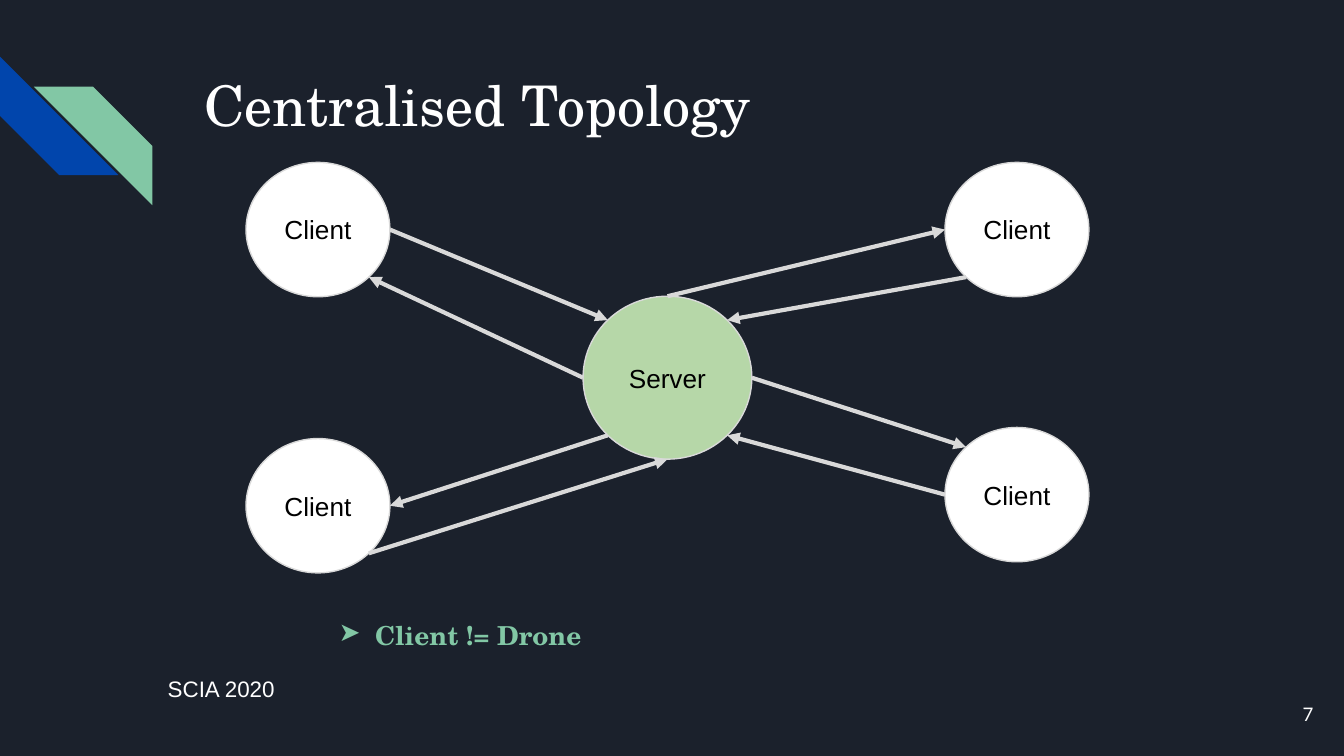
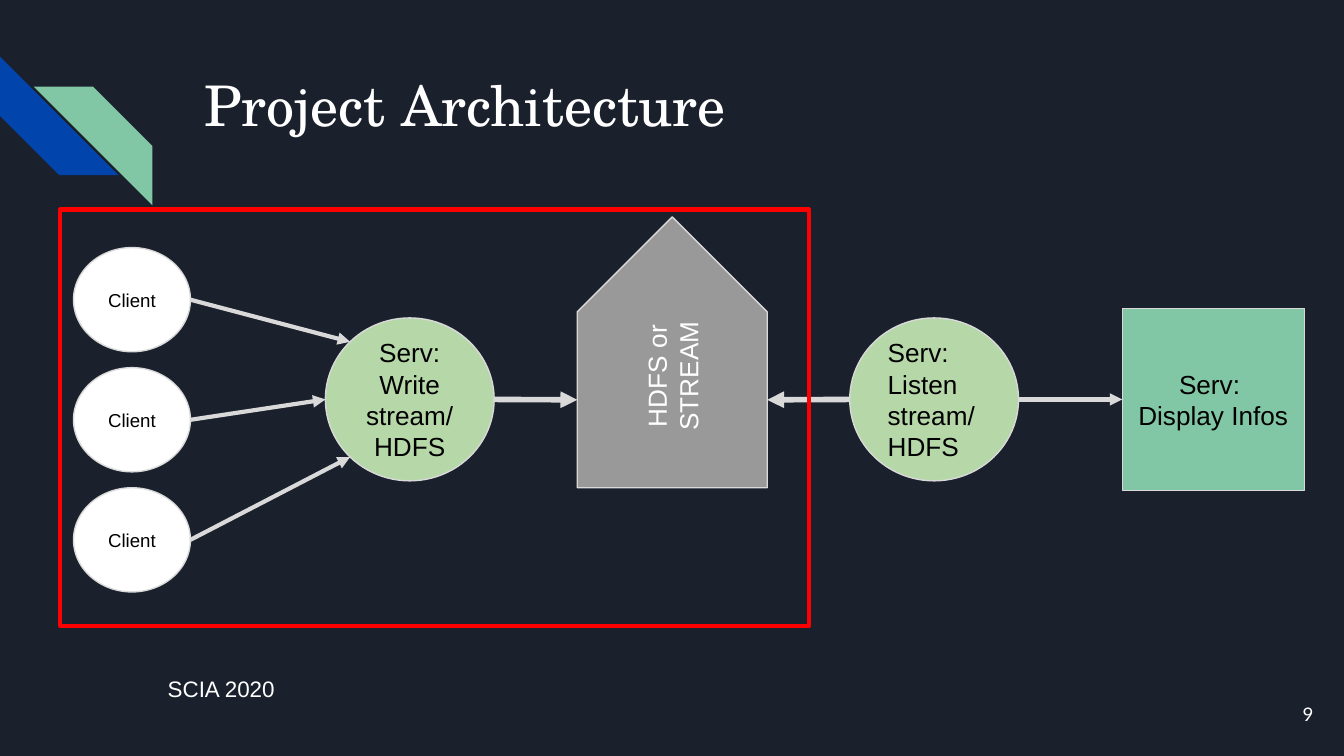
from lxml import etree
from pptx import Presentation
from pptx.dml.color import RGBColor
from pptx.enum import shapes, text
from pptx.oxml.ns import qn
from pptx.util import Cm, Pt

GEOM = shapes.MSO_SHAPE
MID, TOP = text.MSO_ANCHOR.MIDDLE, text.MSO_ANCHOR.TOP
LEFT, MIDDLE, RIGHT = text.PP_ALIGN.LEFT, text.PP_ALIGN.CENTER, text.PP_ALIGN.RIGHT
NIGHT, BLUE, MINT, LEAF = "1B212C", "0145AC", "82C7A5", "B6D7A8"
WHITE, BLACK, PALE, GREY, RED = "FFFFFF", "000000", "D9D9D9", "999999", "FF0000"
SANS, SERIF, SMALL = "Arial", "TeX Gyre Schola", "Lato"
FOOTER = "SCIA 2020"

# Boxes are (left, top, width, height) in cm.
BIG = (2.72, 2.54)
HUB = (3.19, 3.08)
MINI = (2.21, 1.97)

# name: (geometry, box, fill, lines, font size, alignment)
TOPOLOGY = {
    "server": (GEOM.OVAL, (11.02, 5.6, *HUB), LEAF, ["Server"], 14, MIDDLE),
}
for name, x, y in (("nw", 4.65, 3.07), ("ne", 17.86, 3.07),
                   ("sw", 4.65, 8.29), ("se", 17.86, 8.08)):
    TOPOLOGY[name] = (GEOM.OVAL, (x, y, *BIG), WHITE, ["Client"], 14, MIDDLE)

PROJECT = {
    "write": (GEOM.OVAL, (6.15, 6.01, *HUB), LEAF,
              ["Serv:", "Write", "stream/HDFS"], 14, MIDDLE),
    "store": (GEOM.PENTAGON, (10.91, 4.1, 3.59, 5.12), GREY,
              ["HDFS or STREAM"], 14, MIDDLE),
    "listen": (GEOM.OVAL, (16.06, 6.01, *HUB), LEAF,
               ["Serv:", "Listen stream/HDFS"], 14, LEFT),
    "display": (GEOM.RECTANGLE, (21.21, 5.83, 3.44, 3.44), MINT,
                ["Serv: ", "Display Infos"], 14, MIDDLE),
}
for i in range(3):
    PROJECT[f"client{i}"] = (GEOM.OVAL, (1.39, 4.68 + 2.27 * i, *MINI), WHITE,
                             ["Client"], 10, MIDDLE)

# (from node, side, to node, side, width); sides are compass points
TALKS = [
    ("nw", "E", "server", "NW", 2.25), ("ne", "SW", "server", "NE", 2.25),
    ("se", "W", "server", "SE", 2.25), ("server", "E", "se", "NW", 2.25),
    ("server", "N", "ne", "W", 2.25), ("server", "W", "nw", "SE", 2.25),
    ("sw", "SE", "server", "S", 2.25), ("server", "SW", "sw", "E", 2.25),
]
FLOWS = [
    ("client0", "E", "write", "NW", 2.25), ("client1", "E", "write", "W", 2.25),
    ("client2", "E", "write", "SW", 2.25), ("write", "E", "store", "W", 3),
    ("listen", "W", "store", "E", 3), ("listen", "E", "display", "W", 2.25),
]


def color(code):
    return RGBColor.from_string(code)


def cm(values):
    return [Cm(v) for v in values]


def write(shape, lines, size, font, ink, align=LEFT, anchor=TOP, bold=False):
    frame = shape.text_frame
    frame.word_wrap = True
    frame.vertical_anchor = anchor
    frame.margin_left = frame.margin_right = Cm(0.25)
    frame.margin_top = frame.margin_bottom = Cm(0.25)
    frame.text = "\n".join(lines)
    for para in frame.paragraphs:
        para.alignment = align
        para.font.size, para.font.name, para.font.bold = Pt(size), font, bold
        para.font.color.rgb = color(ink)


def label(slide, box, *style, **more):
    shape = slide.shapes.add_textbox(*cm(box))
    write(shape, *style, **more)
    return shape


def draw(slide, geom, box, fill=None, line=None, width=0.75):
    shape = slide.shapes.add_shape(geom, *cm(box))
    shape.shadow.inherit = False
    if fill:
        shape.fill.solid()
        shape.fill.fore_color.rgb = color(fill)
    else:
        shape.fill.background()
    if line:
        shape.line.color.rgb = color(line)
        shape.line.width = Pt(width)
    else:
        shape.line.fill.background()
    return shape


def place(slide, geom, box, fill, lines, size, align):
    """Draw a node; the pentagon points up, so its sides swap when turned."""
    upright = geom == GEOM.PENTAGON
    if upright:
        x, y, w, h = box
        box = (x + (w - h) / 2, y + (h - w) / 2, h, w)
    shape = draw(slide, geom, box, fill, PALE)
    if upright:
        shape.rotation = 270
    write(shape, lines, size, SANS, WHITE if upright else BLACK, align, MID)


def site(node, side):
    """Point on the node's edge at a compass side."""
    geom, (x, y, w, h) = node[:2]
    if geom == GEOM.PENTAGON:  # arrows meet the body, below the point
        y, h = y + w / 2, h - w / 2
    dx = ("E" in side) - ("W" in side)
    dy = ("S" in side) - ("N" in side)
    reach = 0.5 / (dx * dx + dy * dy) ** 0.5
    return x + w * (0.5 + dx * reach), y + h * (0.5 + dy * reach)


def arrow(slide, start, end, width):
    link = slide.shapes.add_connector(shapes.MSO_CONNECTOR.STRAIGHT,
                                      *cm(start + end))
    link.line.color.rgb = color(PALE)
    link.line.width = Pt(width)
    etree.SubElement(link.line._get_or_add_ln(), qn("a:tailEnd"), type="triangle")
    etree.SubElement(link._element.spPr, qn("a:effectLst"))


def bullet(para, mark, indent):
    props = para._p.get_or_add_pPr()
    props.set("marL", str(Cm(indent)))
    props.set("indent", str(-Cm(indent)))
    etree.SubElement(props, qn("a:buChar"), char=mark)
    props.append(props.find(qn("a:defRPr")))  # schema order: bullet first


def build(deck, title, number, nodes, links):
    slide = deck.slides.add_slide(deck.slide_layouts[6])
    slide.background.fill.solid()
    slide.background.fill.fore_color.rgb = color(NIGHT)
    label(slide, (2.92, 12.52, 3.63, 1.09), [FOOTER], 12, SANS, WHITE)
    draw(slide, GEOM.DIAGONAL_STRIPE, (0, 1.07, 2.24, 2.24), BLUE).rotation = 270
    stripe = draw(slide, GEOM.DIAGONAL_STRIPE, (0.64, 1.64, 2.24, 2.24), MINT)
    stripe._element.spPr.xfrm.set("flipH", "1")
    label(slide, (3.61, 1.09, 19.56, 2.54), [title], 30, SERIF, WHITE)
    label(slide, (23.55, 12.95, 1.52, 1.09), [number], 10, SMALL, WHITE, RIGHT, MID)
    for node in nodes.values():
        place(slide, *node)
    for a, out, b, into, width in links:
        arrow(slide, site(nodes[a], out), site(nodes[b], into), width)
    return slide


def main():
    deck = Presentation()
    deck.slide_width, deck.slide_height = Cm(25.4), Cm(14.29)

    slide = build(deck, "Centralised Topology", "7", TOPOLOGY, TALKS)
    note = label(slide, (6.15, 11.46, 15.6, 2), ["Client != Drone"],
                 14, SERIF, MINT, bold=True)
    bullet(note.text_frame.paragraphs[0], "➤", 0.69)

    slide = build(deck, "Project Architecture", "9", PROJECT, FLOWS)
    draw(slide, GEOM.RECTANGLE, (1.14, 3.96, 14.15, 7.87), line=RED, width=2.25)

    deck.save("out.pptx")


if __name__ == "__main__":
    main()
